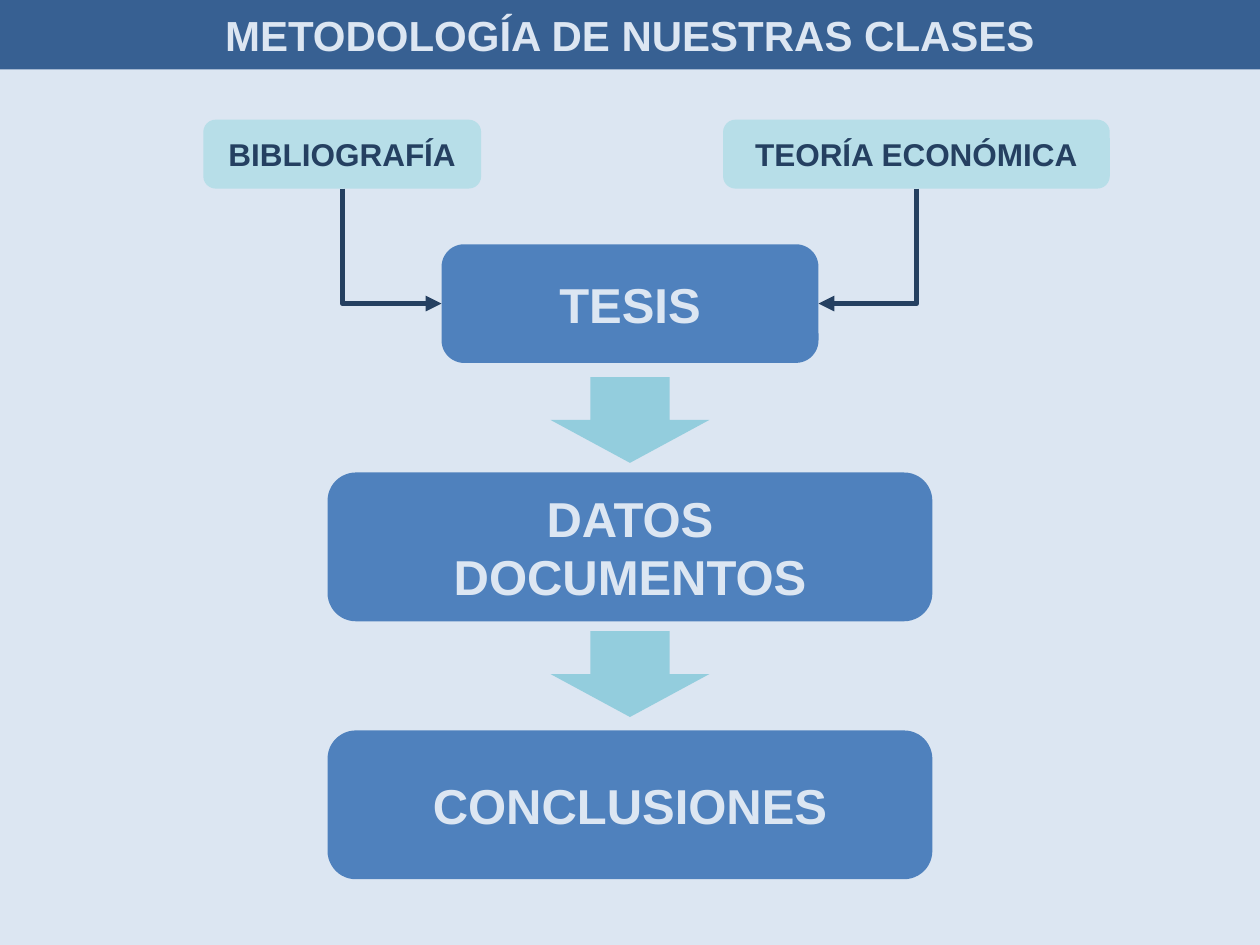
from lxml.etree import SubElement as Sub
from pptx import Presentation
from pptx.dml.color import RGBColor as Rgb
from pptx.enum.shapes import MSO_CONNECTOR as Conn, MSO_SHAPE as Form
from pptx.enum.text import MSO_ANCHOR as Anchor, PP_ALIGN as Align
from pptx.oxml.ns import qn
from pptx.util import Pt

HUES = {
    "pale": "DCE6F2", "bar": "376092", "step": "4F81BD",
    "source": "B7DEE8", "ink": "254061", "arrow": "93CDDD",
}
WIDE, HIGH = 720, 540
MID = WIDE / 2


class Chart:
    """Style and current slide of the flow chart."""

    font = "Arial"

    def __init__(self, slide):
        self.slide = slide
        self.paint(slide.background.fill, "pale")

    def paint(self, fill, hue):
        fill.solid()
        fill.fore_color.rgb = Rgb.from_string(HUES[hue])

    def shape(self, form, x, y, w, h, hue):
        item = self.slide.shapes.add_shape(form, Pt(x), Pt(y), Pt(w), Pt(h))
        item.shadow.inherit = False
        item.line.fill.background()
        self.paint(item.fill, hue)
        return item

    def box(self, lines, x, y, w, h, hue, size, ink="pale", curve=0.18):
        item = self.shape(Form.ROUNDED_RECTANGLE, x, y, w, h, hue)
        item.adjustments[0] = curve
        frame = item.text_frame
        frame.word_wrap = True
        frame.vertical_anchor = Anchor.MIDDLE
        frame.text = "\n".join(lines)
        for para in frame.paragraphs:
            para.alignment = Align.CENTER
            font = para.font
            font.name, font.size, font.bold = self.font, Pt(size), True
            font.color.rgb = Rgb.from_string(HUES[ink])
        return item

    def arrow(self, y, w=90.7, h=49):
        self.shape(Form.DOWN_ARROW, MID - w / 2, y, w, h, "arrow")

    def elbow(self, start, end, side):
        """Go down from start, then across to the given side of end."""
        x1 = start.left + start.width // 2
        y1 = start.top + start.height
        x2 = end.left if side == 1 else end.left + end.width
        y2 = end.top + end.height // 2
        link = self.slide.shapes.add_connector(Conn.ELBOW, x1, y1, x2, y2)
        link.begin_connect(start, 2)
        link.end_connect(end, side)
        link.line.width = Pt(3)
        link.line.color.rgb = Rgb.from_string(HUES["ink"])
        props = link._element.spPr
        Sub(props.find(qn("a:ln")), qn("a:tailEnd"), type="triangle")
        Sub(props, qn("a:effectLst"))

        # A single bend is a quarter-turned frame about the same centre
        props.find(qn("a:prstGeom")).set("prst", "bentConnector2")
        drop, run = y2 - y1, abs(x2 - x1)
        link.left = (x1 + x2 - drop) // 2
        link.top = (y1 + y2 - run) // 2
        link.width, link.height = drop, run
        turn = props.find(qn("a:xfrm"))
        turn.set("rot", str((270 if side == 1 else 90) * 60000))
        turn.set("flipH", "1" if side == 1 else "0")


def main():
    deck = Presentation()
    deck.slide_width, deck.slide_height = Pt(WIDE), Pt(HIGH)
    chart = Chart(deck.slides.add_slide(deck.slide_layouts[6]))

    # Title bar
    chart.box(["METODOLOGÍA DE NUESTRAS CLASES"], 0, 0, WIDE, 39.6,
              "bar", 24, curve=0)

    # Steps, centred on the slide
    steps = [
        (["TESIS"], 139.6, 215.4, 67.8),
        (["DATOS", "DOCUMENTOS"], 270, 345.6, 85),
        (["CONCLUSIONES"], 417.4, 345.6, 85),
    ]
    boxes = [chart.box(lines, MID - w / 2, y, w, h, "step", 28, curve=0.19)
             for lines, y, w, h in steps]

    # Sources that feed the thesis
    sources = [("BIBLIOGRAFÍA", 116.2, 158.8, 1),
               ("TEORÍA ECONÓMICA", 413.2, 221, 3)]
    for name, x, w, side in sources:
        source = chart.box([name], x, 68.4, w, 39.4, "source", 18, "ink")
        chart.elbow(source, boxes[0], side)

    # Arrows between steps
    for y in (215.5, 360.7):
        chart.arrow(y)

    deck.save("out.pptx")


if __name__ == "__main__":
    main()
